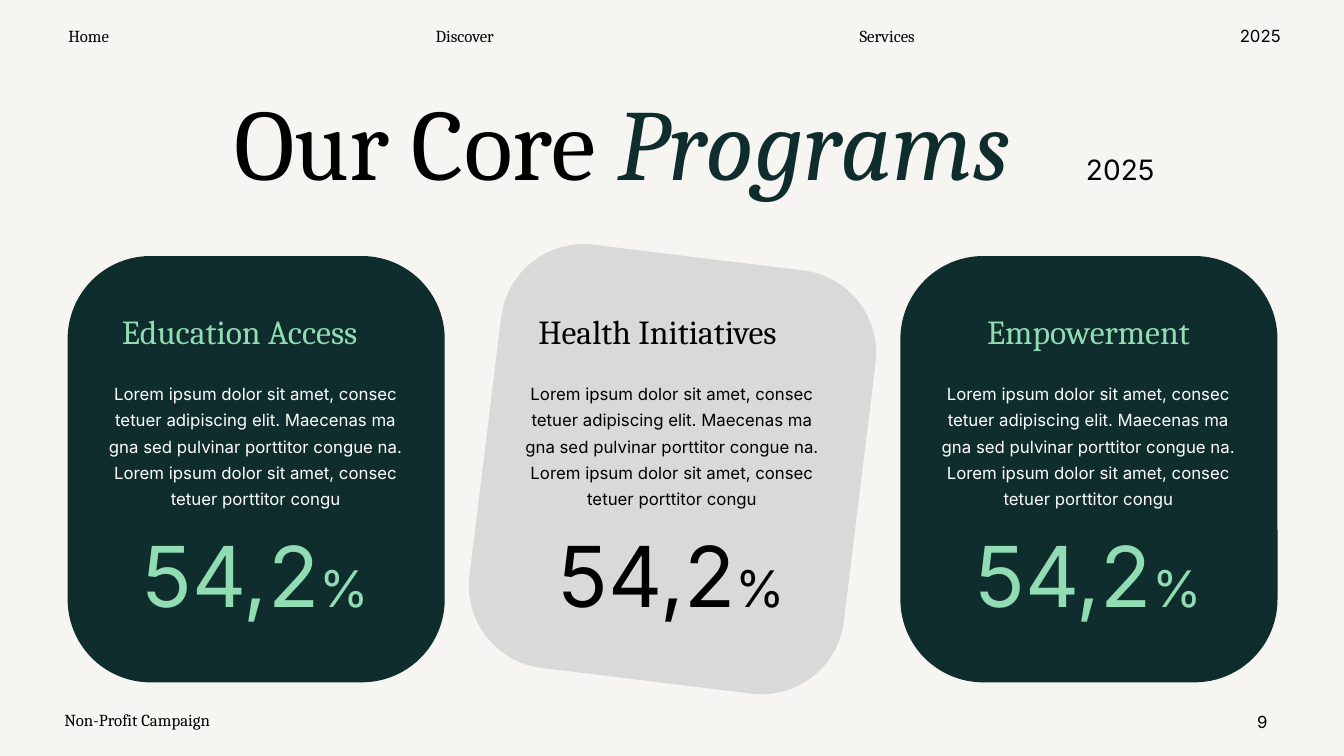
import pptx
import pptx.dml.color
import pptx.enum.shapes
import pptx.enum.text
import pptx.util

WIDTH, HEIGHT = pptx.util.Inches(13.33), pptx.util.Inches(7.5)
SERIF, SANS = "Cambria", "Inter"
BLACK, WHITE, PAPER = "000000", "FFFFFF", "F6F5F1"
FOREST, MINT, SILVER = "0F2D2D", "91DCB3", "D9D9D9"
LEFT = pptx.enum.text.PP_ALIGN.LEFT
CENTER = pptx.enum.text.PP_ALIGN.CENTER
RIGHT = pptx.enum.text.PP_ALIGN.RIGHT

CARD_LEFT, CARD_PITCH = 5.03, 30.98
SUMMARY = [
    "Lorem ipsum dolor sit amet, consec",
    "tetuer adipiscing elit. Maecenas ma",
    "gna sed pulvinar porttitor congue na. Lorem ipsum dolor sit amet, consec",
    "tetuer porttitor congu",
]
PROGRAMS = [
    ("Education Access", LEFT, FOREST, MINT, WHITE, 0),
    ("Health Initiatives", LEFT, SILVER, BLACK, BLACK, 7),
    ("Empowerment", CENTER, FOREST, MINT, WHITE, 0),
]
MENU = [
    ("Home", SERIF, 4.05, 5.1),
    ("Discover", SERIF, 31.21, 6.75),
    ("Services", SERIF, 62.79, 6.45),
    ("2025", SANS, 91.45, 4.65),
]


def paint(color_format, value):
    color_format.rgb = pptx.dml.color.RGBColor.from_string(value)


def area(left, top, width, height):
    return [
        int(share * side / 100)
        for share, side in zip((left, top, width, height), (WIDTH, HEIGHT) * 2)
    ]


def style(target, formats):
    for attribute, value in formats.items():
        setattr(target, attribute, value)


def piece(words, font, size, color, italic=False):
    formats = {"name": font, "size": pptx.util.Pt(size), "italic": italic}
    return words, formats, color


def add_text(slide, place, lines, align=LEFT, spacing=1.0, wrap=True):
    frame = slide.shapes.add_textbox(*area(*place)).text_frame
    style(frame, {
        "word_wrap": wrap,
        "auto_size": pptx.enum.text.MSO_AUTO_SIZE.SHAPE_TO_FIT_TEXT,
    })
    for index, pieces in enumerate(lines):
        paragraph = frame.add_paragraph() if index else frame.paragraphs[0]
        style(paragraph, {"alignment": align, "line_spacing": spacing})
        for words, formats, color in pieces:
            run = paragraph.add_run()
            run.text = words
            style(run.font, formats)
            paint(run.font.color, color)


def add_card(slide, left, fill, tilt):
    card = slide.shapes.add_shape(
        pptx.enum.shapes.MSO_SHAPE.ROUNDED_RECTANGLE, *area(left, 33.87, 28.06, 56.4)
    )
    style(card, {"rotation": tilt})
    card.adjustments[0] = 0.22
    card.shadow.inherit = False
    card.fill.solid()
    paint(card.fill.fore_color, fill)
    card.line.fill.background()


def add_program(slide, left, name, align, accent, ink):
    add_text(slide, (left + 3.3, 40.53, 21.38, 6.67),
             [[piece(name, SERIF, 24, accent)]], align)
    add_text(slide, (left + 1.8, 49.33, 24.38, 18.53),
             [[piece(line, SANS, 12, ink)] for line in SUMMARY], CENTER, 1.3)
    add_text(slide, (left + 4.58, 70.13, 18.83, 13.47),
             [[piece("54,2", SANS, 60, accent), piece("%", SANS, 36, accent)]],
             CENTER, 0.9)


def add_margins(slide):
    for label, font, left, width in MENU:
        add_text(slide, (left, 2.8, width, 4),
                 [[piece(label, font, 12, BLACK)]], CENTER, wrap=False)
    add_text(slide, (4.05, 93.2, 21.68, 4),
             [[piece("Non-Profit Campaign", SERIF, 12, BLACK)]])
    add_text(slide, (89.95, 93.47, 5.1, 4), [[piece("9", SANS, 12, BLACK)]], RIGHT)


def main():
    deck = pptx.Presentation()
    style(deck, {"slide_width": WIDTH, "slide_height": HEIGHT})
    slide = deck.slides.add_slide(deck.slide_layouts[6])
    slide.background.fill.solid()
    paint(slide.background.fill.fore_color, PAPER)

    add_margins(slide)
    add_text(slide, (12.9, 12.93, 66.77, 14.27),
             [[piece("Our Core ", SERIF, 72, BLACK),
               piece("Programs", SERIF, 72, FOREST, True)]], CENTER, 0.8)
    for column, (name, align, fill, accent, ink, tilt) in enumerate(PROGRAMS):
        left = CARD_LEFT + column * CARD_PITCH
        add_card(slide, left, fill, tilt)
        add_program(slide, left, name, align, accent, ink)
    add_text(slide, (79.29, 19.47, 7.35, 5.87),
             [[piece("2025", SANS, 20, BLACK)]], RIGHT)
    deck.save("out.pptx")


if __name__ == "__main__":
    main()
